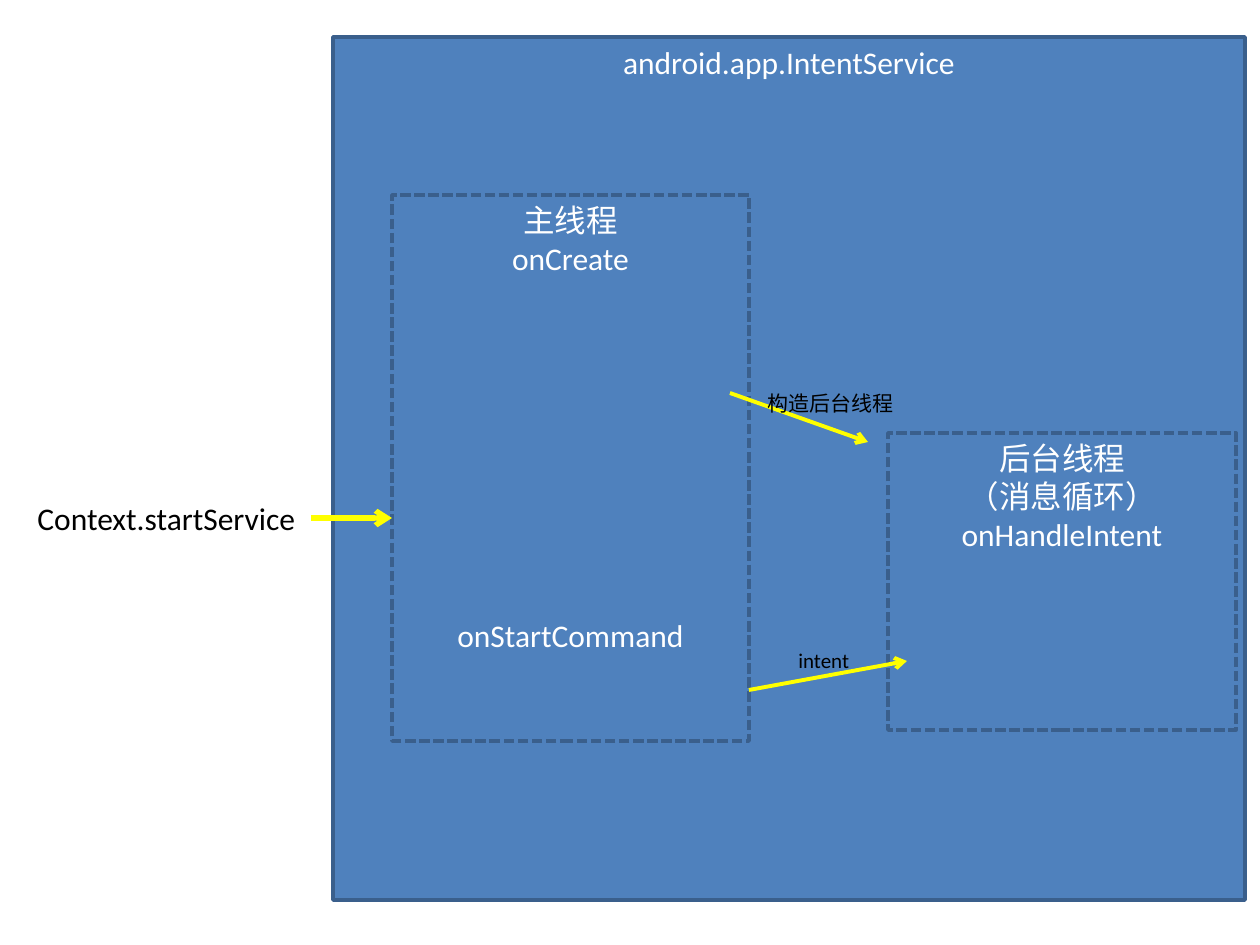
from lxml import etree
from pptx import Presentation
from pptx.dml.color import RGBColor
from pptx.enum.dml import MSO_LINE
from pptx.enum.shapes import MSO_CONNECTOR, MSO_SHAPE
from pptx.enum.text import MSO_ANCHOR, MSO_AUTO_SIZE, PP_ALIGN
from pptx.oxml.ns import qn
from pptx.util import Inches, Pt

RECTANGLE = MSO_SHAPE.RECTANGLE
STRAIGHT = MSO_CONNECTOR.STRAIGHT
DASHED = MSO_LINE.SQUARE_DOT
TOP = MSO_ANCHOR.TOP
CENTER = PP_ALIGN.CENTER
LEFT = PP_ALIGN.LEFT
FIT_SHAPE = MSO_AUTO_SIZE.SHAPE_TO_FIT_TEXT

PIXEL = Inches(1) / 126
FONT = "Calibri"
BLUE, DARK_BLUE, YELLOW = "4F81BD", "3A5F8C", "FFFF00"
WHITE, BLACK = "FFFFFF", "000000"


def emu(*pixels):
    """Turn pixel lengths into EMU."""
    return [round(pixel * PIXEL) for pixel in pixels]


def color(hex_string):
    """Return the colour for a hex string."""
    return RGBColor.from_string(hex_string)


def write(para, text, size=18, ink=WHITE, align=CENTER, before=0):
    """Write one formatted paragraph."""
    para.alignment = align
    para.space_before = Pt(before)
    span = para.add_run()
    span.text = text
    span.font.name = FONT
    span.font.size = Pt(size)
    span.font.color.rgb = color(ink)


def add_panel(page, box, lines, dash=None):
    """Draw a blue rectangle; each line is a text and the space before it."""
    panel = page.shapes.add_shape(RECTANGLE, *emu(*box))
    panel.shadow.inherit = False
    panel.fill.solid()
    panel.fill.fore_color.rgb = color(BLUE)
    panel.line.color.rgb = color(DARK_BLUE)
    panel.line.width = Pt(2)
    if dash:
        panel.line.dash_style = dash
    frame = panel.text_frame
    frame.word_wrap = True
    frame.vertical_anchor = TOP
    for index, (text, before) in enumerate(lines):
        para = frame.add_paragraph() if index else frame.paragraphs[0]
        write(para, text, before=before)


def add_label(page, box, text, size=18):
    """Place one line of black text."""
    label = page.shapes.add_textbox(*emu(*box))
    label.text_frame.word_wrap = False
    label.text_frame.auto_size = FIT_SHAPE
    write(label.text_frame.paragraphs[0], text, size=size, ink=BLACK, align=LEFT)


def add_arrow(page, start, end, width=2.25):
    """Draw a yellow line with an open arrowhead at its end."""
    arrow = page.shapes.add_connector(STRAIGHT, *emu(*start, *end))
    arrow.line.color.rgb = color(YELLOW)
    arrow.line.width = Pt(width)
    etree.SubElement(arrow.line._get_or_add_ln(), qn("a:tailEnd"), type="arrow")
    etree.SubElement(arrow._element.spPr, qn("a:effectLst"))


def add_caller(page, box):
    """Place the calling method and its arrow to the right."""
    left, top, width, height = box
    add_label(page, box, "Context.startService")
    middle = top + height // 2
    add_arrow(page, (left + width, middle), (left + width + 81, middle), width=3)


def add_service(page, box):
    """Draw the service with its two threads and the arrows between them."""
    left, top, _, _ = box

    def inside(x, y, *extent):
        return (left + x, top + y, *extent)

    add_panel(page, box, [("android.app.IntentService", 0)])
    add_panel(page, inside(59, 158, 357, 546),
              [("主线程", 0), ("onCreate", 0), ("onStartCommand", 194)], dash=DASHED)
    add_panel(page, inside(555, 396, 348, 297),
              [("后台线程", 0), ("（消息循环）", 0), ("onHandleIntent", 0)], dash=DASHED)
    add_arrow(page, inside(416, 653), inside(574, 624))
    add_arrow(page, inside(397, 356), inside(535, 405))
    add_label(page, inside(422, 347, 152, 38), "构造后台线程", size=12)
    add_label(page, inside(453, 604, 77, 38), "intent", size=12)


def main():
    """Build and save the deck."""
    deck = Presentation()
    deck.slide_width, deck.slide_height = emu(1260, 945)
    page = deck.slides.add_slide(deck.slide_layouts[6])
    add_service(page, (333, 37, 912, 863))
    add_caller(page, (25, 493, 286, 50))
    deck.save("out.pptx")


main()
